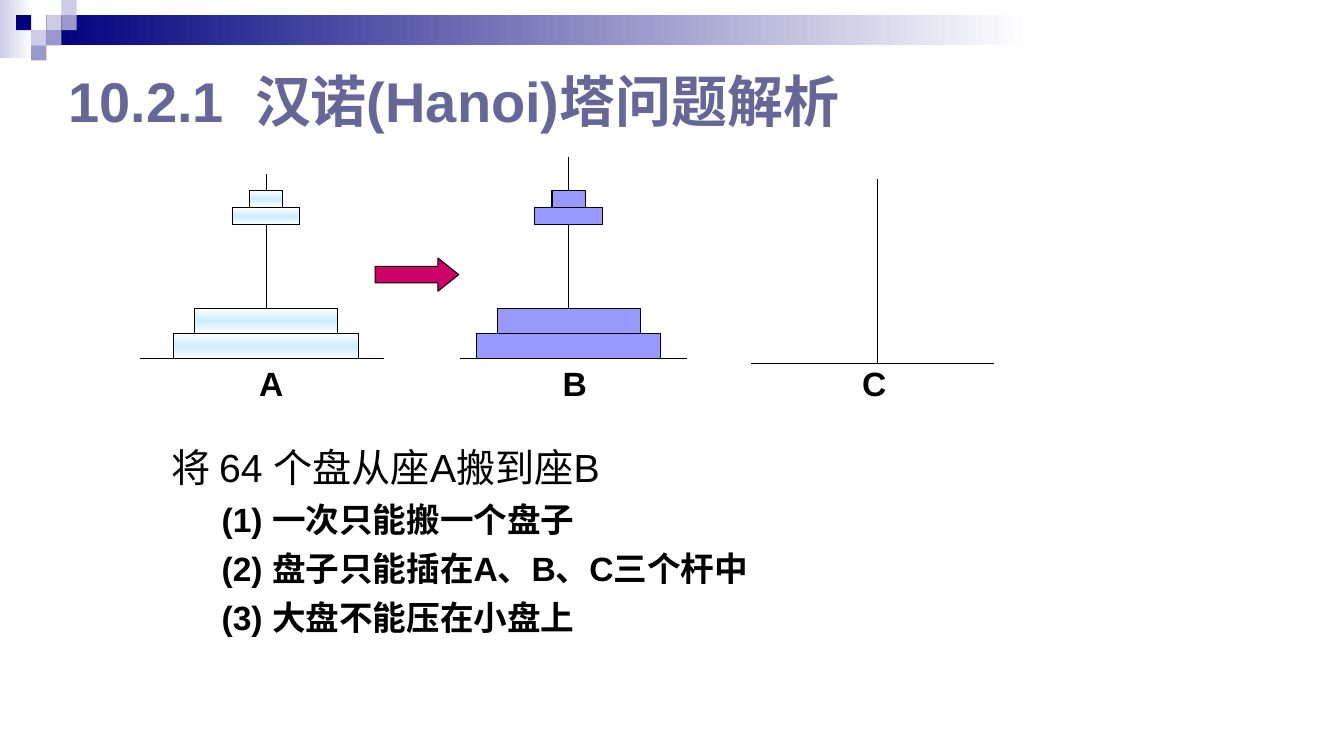
from copy import deepcopy

from pptx import Presentation
from pptx import util as u
from pptx.dml.color import RGBColor
from pptx.enum import shapes, text
from pptx.oxml.ns import qn
from lxml import etree

NAVY = RGBColor(0x00, 0x00, 0x7D)
LAVENDER = RGBColor(0xCC, 0xCC, 0xE6)
MAUVE = RGBColor(0x99, 0x99, 0xCC)
SLATE = RGBColor(0x66, 0x66, 0x99)
VIOLET = RGBColor(0x99, 0x99, 0xFF)
ICE = RGBColor(0xCC, 0xEC, 0xFF)
CRIMSON = RGBColor(0xCC, 0x00, 0x66)
WHITE = RGBColor(0xFF, 0xFF, 0xFF)
BLACK = RGBColor(0, 0, 0)

FONT = "Arial"
RECT = shapes.MSO_SHAPE.RECTANGLE

# Discs from bottom to top: top, width, height
DISCS = [(3.31, 1.83, 0.25), (3.06, 1.42, 0.25),
         (2.06, 0.67, 0.17), (1.89, 0.33, 0.17)]


def set_fill(sp, colors, angle=0):
    """One colour gives a solid fill, several give evenly spaced stops."""
    if len(colors) == 1:
        sp.fill.solid()
        sp.fill.fore_color.rgb = colors[0]
        return
    sp.fill.gradient()
    sp.fill.gradient_angle = angle
    stops = sp.fill._fill._gradFill.find(qn("a:gsLst"))
    while len(stops) < len(colors):
        stops.append(deepcopy(stops[-1]))
    for i, (stop, color) in enumerate(zip(sp.fill.gradient_stops, colors)):
        stop.color.rgb = color
        stop.position = i / (len(colors) - 1)


def add_shape(s, kind, x, y, w, h, colors, angle=0, outlined=False):
    sp = s.shapes.add_shape(kind, *map(u.Inches, (x, y, w, h)))
    sp.shadow.inherit = False
    set_fill(sp, colors, angle)
    if outlined:
        sp.line.color.rgb = BLACK
        sp.line.width = u.Pt(0.75)
    else:
        sp.line.fill.background()
    return sp


def add_line(s, x1, y1, x2, y2):
    ln = s.shapes.add_connector(shapes.MSO_CONNECTOR.STRAIGHT,
                                *map(u.Inches, (x1, y1, x2, y2)))
    ln.line.color.rgb = BLACK
    ln.line.width = u.Pt(0.75)
    etree.SubElement(ln._element.spPr, qn("a:effectLst"))
    return ln


def add_text(s, x, y, w, h, anchor=text.MSO_ANCHOR.MIDDLE):
    tf = s.shapes.add_textbox(*map(u.Inches, (x, y, w, h))).text_frame
    tf.word_wrap = True
    tf.vertical_anchor = anchor
    return tf


def set_paragraph(p, words, size, bold=True, color=BLACK):
    p.text = words
    p.font.name = FONT
    p.font.size = u.Pt(size)
    p.font.bold = bold
    p.font.color.rgb = color


def add_header(s):
    add_shape(s, RECT, 0, 0, 0.32, 0.58, [LAVENDER, WHITE])
    add_shape(s, RECT, 0.46, 0.15, 9.75, 0.3, [NAVY, WHITE])
    # Checkered corner: column, row, colour
    for col, row, color in [(3, 1, LAVENDER), (4, 0, LAVENDER), (4, 1, MAUVE),
                            (2, 2, LAVENDER), (1, 1, NAVY), (3, 2, MAUVE),
                            (2, 3, MAUVE)]:
        add_shape(s, RECT, 0.15 * col + 0.01, 0.15 * row, 0.15, 0.15, [color])


def add_tower(s, name, center, top, base, left, right, label_center, colors=None):
    add_line(s, left, base, right, base)
    rod = add_line(s, center, base, center, top)
    if colors:
        discs = [add_shape(s, RECT, center - w / 2, y, w, h, colors, 90, True)
                 for y, w, h in DISCS]
        rod.begin_connect(discs[0], 2)
    p = add_text(s, label_center - 0.4, 3.55, 0.8, 0.5).paragraphs[0]
    set_paragraph(p, name, 24)
    p.alignment = text.PP_ALIGN.CENTER


def add_rules(s, task, rules):
    tf = add_text(s, 1.6, 4.4, 6.5, 2.58, text.MSO_ANCHOR.TOP)
    tf.margin_top = 0
    set_paragraph(tf.paragraphs[0], task, 28, bold=False)
    for rule in rules:
        p = tf.add_paragraph()
        set_paragraph(p, rule, 24)
        p.space_before = u.Pt(6)
        pPr = p._p.get_or_add_pPr()
        pPr.set("marL", str(u.Inches(0.81)))
        pPr.set("indent", str(u.Inches(-0.31)))


def main():
    prs = Presentation()
    prs.slide_width, prs.slide_height = u.Inches(13.33), u.Inches(7.5)
    s = prs.slides.add_slide(prs.slide_layouts[6])

    # Header and title
    add_header(s)
    title = add_text(s, 0.58, 0.58, 8.5, 0.83)
    set_paragraph(title.paragraphs[0], "10.2.1  汉诺(Hanoi)塔问题解析", 40, color=SLATE)

    # Towers and the move between them
    add_tower(s, "A", 2.64, 1.73, 3.56, 1.39, 3.81, 2.69, [WHITE, ICE, WHITE])
    add_tower(s, "B", 5.64, 1.56, 3.56, 4.56, 6.81, 5.7, [VIOLET])
    add_tower(s, "C", 8.7, 1.78, 3.61, 7.45, 9.86, 8.67)
    arrow = add_shape(s, shapes.MSO_SHAPE.RIGHT_ARROW, 3.72, 2.56, 0.83, 0.33,
                      [CRIMSON], outlined=True)
    arrow.adjustments[0], arrow.adjustments[1] = 0.5, 0.625

    # Task and rules
    add_rules(s, "将 64 个盘从座A搬到座B",
              ["(1) 一次只能搬一个盘子",
               "(2) 盘子只能插在A、B、C三个杆中",
               "(3) 大盘不能压在小盘上"])

    prs.save("out.pptx")


if __name__ == "__main__":
    main()
